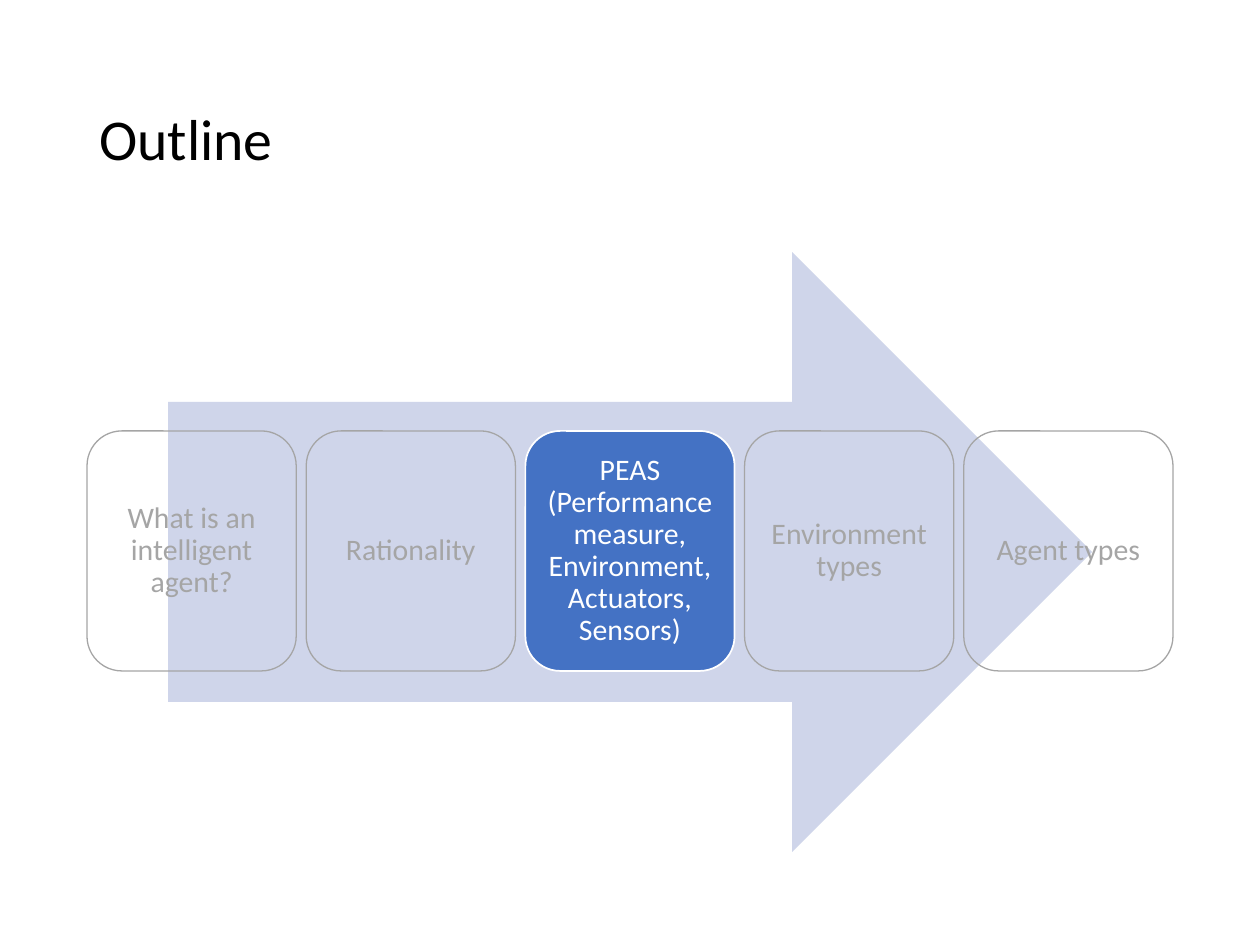
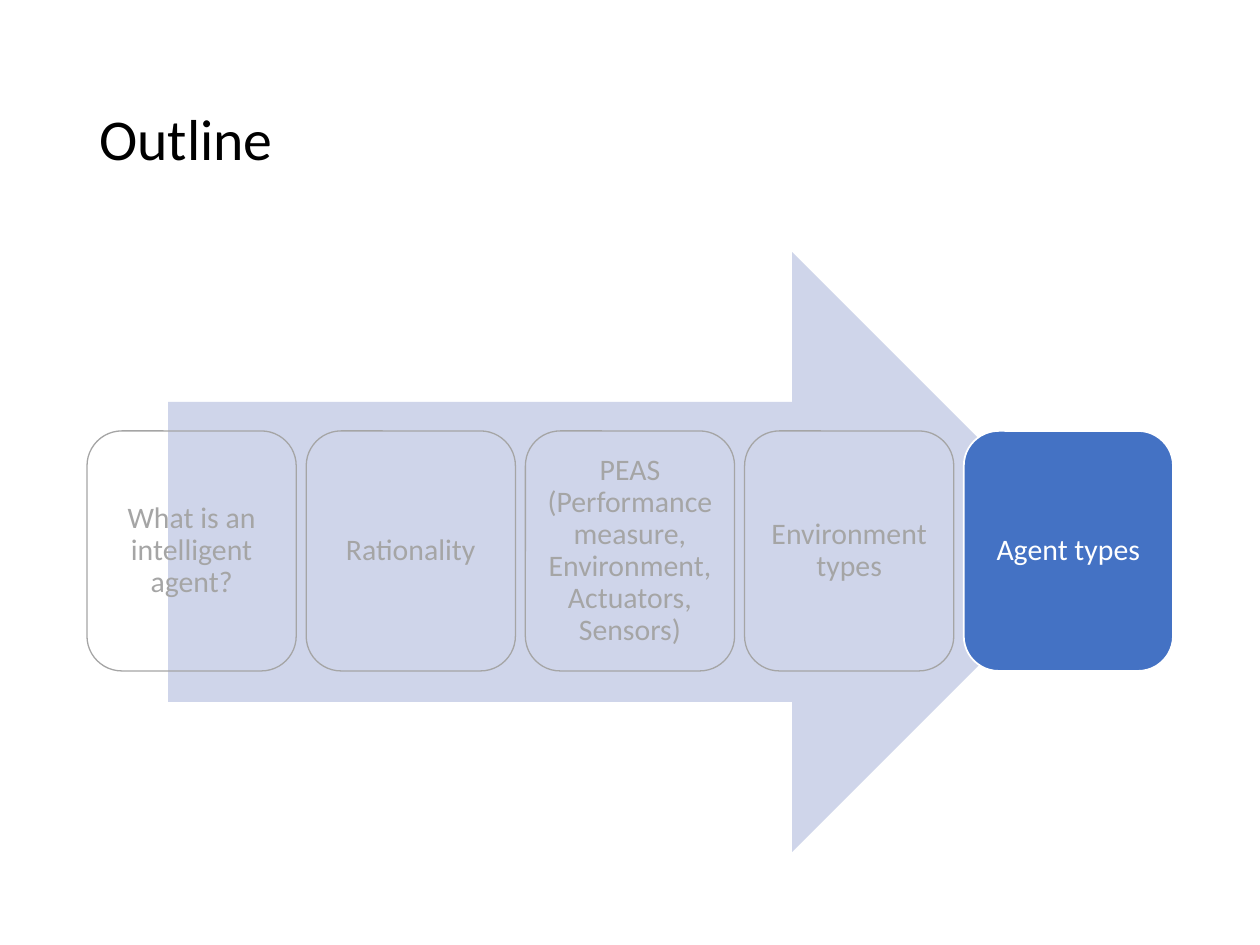
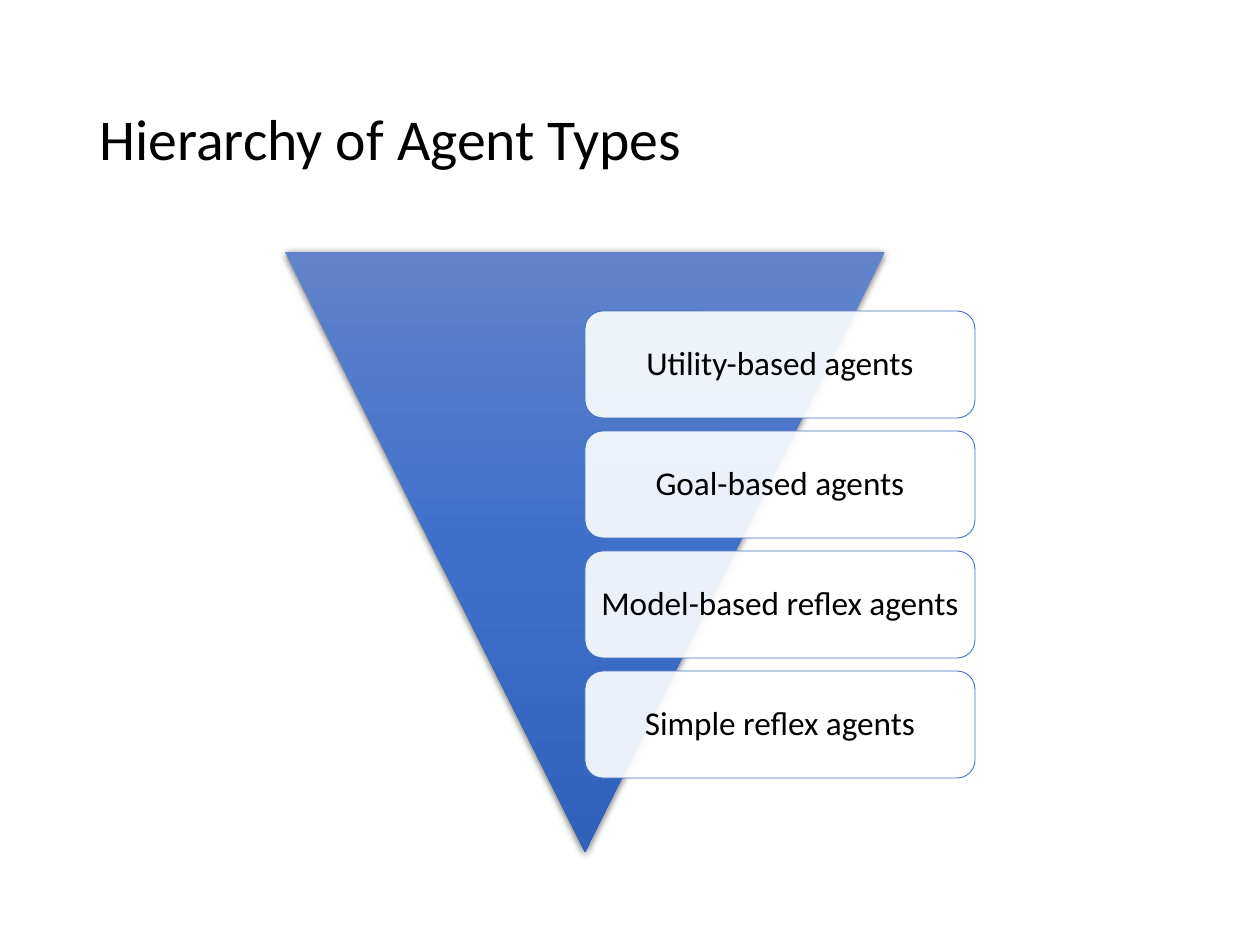
from lxml import etree
from pptx import Presentation
from pptx.dml.color import RGBColor
from pptx.enum.shapes import MSO_SHAPE
from pptx.enum.text import MSO_ANCHOR, PP_ALIGN
from pptx.oxml import parse_xml
from pptx.oxml.ns import nsdecls, qn
from pptx.util import Pt

OUTLINE_STEPS = [
    "What is an intelligent agent?",
    "Rationality",
    "PEAS (Performance measure, Environment, Actuators, Sensors)",
    "Environment types",
    "Agent types",
]
OUTLINE_ACTIVE_STEPS = [2, 4]
AGENT_TYPES = [
    "Utility-based agents",
    "Goal-based agents",
    "Model-based reflex agents",
    "Simple reflex agents",
]

FONT = "Calibri"
BLACK, WHITE, GREY = "000000", "FFFFFF", "A5A5A5"
BLUE, PALE_BLUE = "4472C4", "CFD5EA"
GRADIENT = [(0, "6183CB"), (50, "3E70CA"), (100, "3062BB")]

EMU_PER_PX = 914400 / 126
SLIDE_WIDTH, SLIDE_HEIGHT = 1260, 945
LEFT, CONTENT_WIDTH = 87, 1086
TITLE_TOP, TITLE_HEIGHT = 50, 183
DIAGRAM_TOP, DIAGRAM_HEIGHT = 252, 600
ARROW_LEFT, ARROW_WIDTH = 168, 924
STEP_TOP, STEP_HEIGHT, STEP_GAP = 431, 240, 10
TRIANGLE_LEFT = 285
TYPE_LEFT, TYPE_TOP = 585, 311
TYPE_WIDTH, TYPE_HEIGHT, TYPE_GAP = 390, 107, 13


def px(length):
    return round(length * EMU_PER_PX)


def color(value):
    return RGBColor.from_string(value)


def write(shape, text, size, text_color, align, margin=None):
    frame = shape.text_frame
    frame.word_wrap = True
    frame.vertical_anchor = MSO_ANCHOR.MIDDLE
    if margin is not None:
        frame.margin_left = frame.margin_right = px(margin)
        frame.margin_top = frame.margin_bottom = px(margin)
    frame.text = text
    para = frame.paragraphs[0]
    para.alignment = align
    para.line_spacing = 0.9
    font = para.runs[0].font
    font.name = FONT
    font.size = Pt(size)
    font.color.rgb = color(text_color)


def add_shape(page, kind, place, fill=None, line=None, line_width=1):
    shape = page.shapes.add_shape(kind, *map(px, place))
    shape.shadow.inherit = False
    if fill:
        shape.fill.solid()
        shape.fill.fore_color.rgb = color(fill)
    else:
        shape.fill.background()
    if line:
        shape.line.color.rgb = color(line)
        shape.line.width = Pt(line_width)
    else:
        shape.line.fill.background()
    return shape


def set_opacity(shape, percent):
    fill_color = shape.fill._xPr.find(qn("a:solidFill"))[0]
    etree.SubElement(fill_color, qn("a:alpha"), val=str(percent * 1000))


def set_gradient(shape, stops):
    stop_xml = "".join(
        f'<a:gs pos="{position * 1000}"><a:srgbClr val="{value}"/></a:gs>'
        for position, value in stops
    )
    properties = shape._element.spPr
    properties.replace(properties.find(qn("a:noFill")), parse_xml(
        f'<a:gradFill {nsdecls("a")} rotWithShape="0"><a:gsLst>{stop_xml}</a:gsLst>'
        '<a:lin ang="5400000" scaled="0"/></a:gradFill>'
    ))


def set_shadow(shape, shadow_color, opacity, blur, distance):
    effects = shape._element.spPr.find(qn("a:effectLst"))
    effects.append(parse_xml(
        f'<a:outerShdw {nsdecls("a")} blurRad="{Pt(blur)}" dist="{Pt(distance)}" '
        f'dir="5400000" algn="ctr" rotWithShape="0"><a:srgbClr val="{shadow_color}">'
        f'<a:alpha val="{opacity * 1000}"/></a:srgbClr></a:outerShdw>'
    ))


def add_page(deck, title):
    page = deck.slides.add_slide(deck.slide_layouts[6])
    place = (LEFT, TITLE_TOP, CONTENT_WIDTH, TITLE_HEIGHT)
    box = page.shapes.add_textbox(*map(px, place))
    write(box, title, 33, BLACK, PP_ALIGN.LEFT)
    return page


def add_outline(deck, active):
    page = add_page(deck, "Outline")
    arrow_place = (ARROW_LEFT, DIAGRAM_TOP, ARROW_WIDTH, DIAGRAM_HEIGHT)
    add_shape(page, MSO_SHAPE.RIGHT_ARROW, arrow_place, PALE_BLUE)
    count = len(OUTLINE_STEPS)
    width = (CONTENT_WIDTH - (count - 1) * STEP_GAP) / count
    for index, text in enumerate(OUTLINE_STEPS):
        place = (LEFT + index * (width + STEP_GAP), STEP_TOP, width, STEP_HEIGHT)
        style = (BLUE, WHITE, 1) if index == active else (None, GREY, 0.75)
        step = add_shape(page, MSO_SHAPE.ROUNDED_RECTANGLE, place, *style)
        write(step, text, 17, style[1], PP_ALIGN.CENTER, 9)


def add_hierarchy(deck):
    page = add_page(deck, "Hierarchy of Agent Types")
    triangle_place = (TRIANGLE_LEFT, DIAGRAM_TOP, DIAGRAM_HEIGHT, DIAGRAM_HEIGHT)
    triangle = add_shape(page, MSO_SHAPE.ISOSCELES_TRIANGLE, triangle_place)
    triangle.rotation = 180
    set_gradient(triangle, GRADIENT)
    set_shadow(triangle, BLACK, 63, 4.5, 1.5)
    for index, text in enumerate(AGENT_TYPES):
        top = TYPE_TOP + index * (TYPE_HEIGHT + TYPE_GAP)
        place = (TYPE_LEFT, top, TYPE_WIDTH, TYPE_HEIGHT)
        box = add_shape(page, MSO_SHAPE.ROUNDED_RECTANGLE, place, WHITE, BLUE, 0.5)
        set_opacity(box, 90)
        write(box, text, 19, BLACK, PP_ALIGN.CENTER, 10)


def main():
    deck = Presentation()
    deck.slide_width, deck.slide_height = px(SLIDE_WIDTH), px(SLIDE_HEIGHT)
    for active in OUTLINE_ACTIVE_STEPS:
        add_outline(deck, active)
    add_hierarchy(deck)
    deck.save("out.pptx")


if __name__ == "__main__":
    main()
